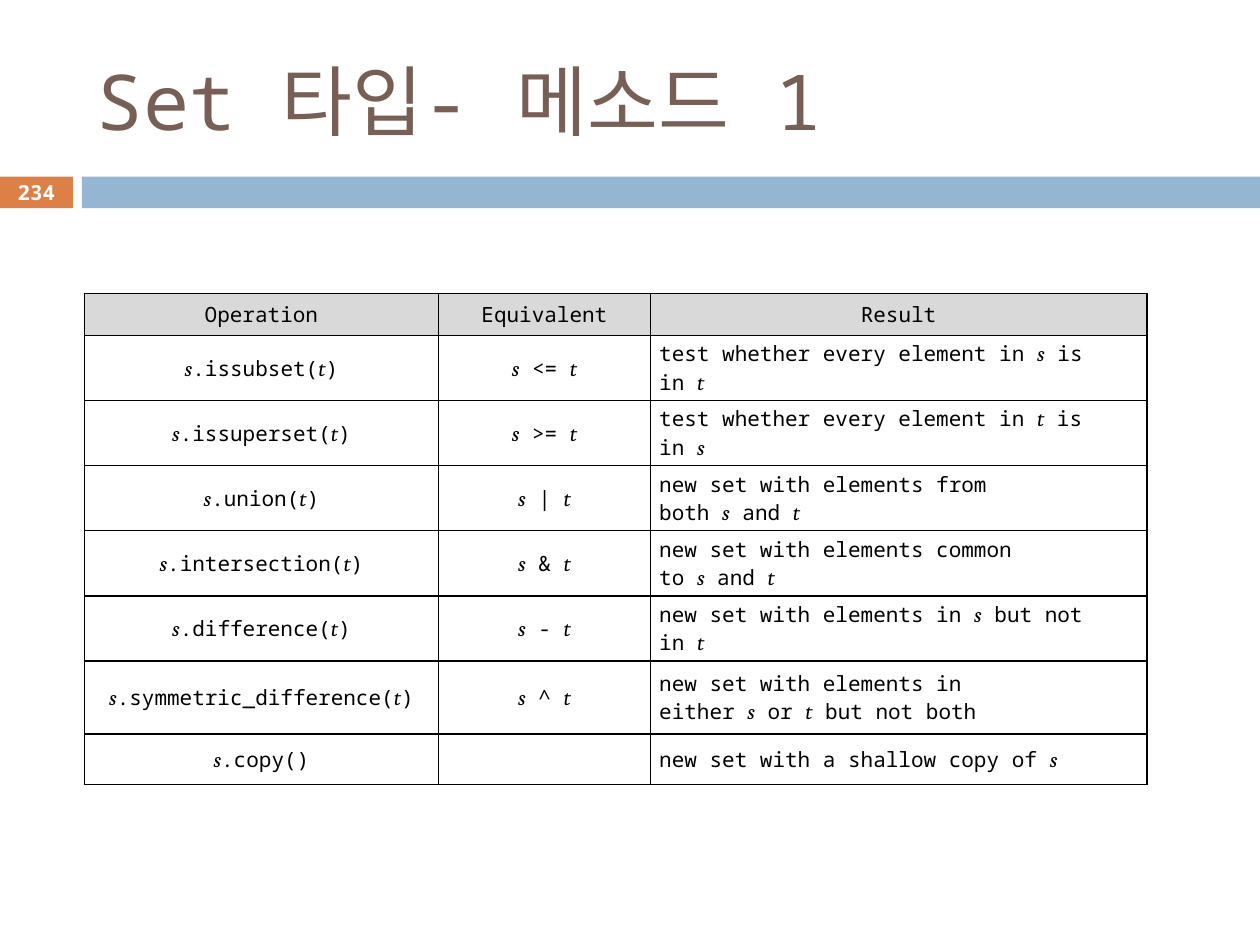
from lxml import etree
from pptx import Presentation
from pptx.dml.color import RGBColor
from pptx.enum import shapes, text
from pptx.oxml.ns import qn
from pptx.util import Cm, Pt

TITLE = "Set 타입- 메소드 1"
PAGE_NUMBER = "234"
HEADINGS = ["Operation", "Equivalent", "Result"]
# Variables stand between asterisks.
METHODS = [
    ("*s*.issubset(*t*)", "*s* <= *t*", "test whether every element in *s* is in *t*"),
    ("*s*.issuperset(*t*)", "*s* >= *t*", "test whether every element in *t* is in *s*"),
    ("*s*.union(*t*)", "*s* | *t*", "new set with elements from both *s* and *t*"),
    ("*s*.intersection(*t*)", "*s* & *t*", "new set with elements common to *s* and *t*"),
    ("*s*.difference(*t*)", "*s* - *t*", "new set with elements in *s* but not in *t*"),
    ("*s*.symmetric_difference(*t*)", "*s* ^ *t*",
     "new set with elements in either *s* or *t* but not both"),
    ("*s*.copy()", "", "new set with a shallow copy of *s*"),
]
COLORS = {"title": "775F55", "number": "DD8047", "band": "94B6D2", "header": "D9D9D9",
          "white": "FFFFFF", "black": "000000"}
MONO, VARIABLE = "Noto Sans Mono", "Cambria"
NO_BREAK_SPACE = chr(160)

SLIDE_WIDTH, SLIDE_HEIGHT = 25.4, 19.05
LEFT = 1.7
BAND_TOP, BAND_HEIGHT, BAND_LEFT, NUMBER_WIDTH = 3.56, 0.64, 1.65, 1.47
TABLE_TOP = 5.92
COLUMN_WIDTHS = [7.14, 4.27, 10.01]
ROW_HEIGHTS = [0.84] + [1.02] * 5 + [1.47, 1.02]
THIN, THICK = 0.6, 1


def color(name):
    return RGBColor.from_string(COLORS[name])


def style(span, size, tint, font=MONO):
    span.font.size = Pt(size)
    span.font.name = font
    span.font.color.rgb = color(tint)


def add_band(page, left, width, tint):
    band = page.shapes.add_shape(shapes.MSO_SHAPE.RECTANGLE, Cm(left), Cm(BAND_TOP),
                                 Cm(width), Cm(BAND_HEIGHT))
    band.shadow.inherit = False
    band.fill.solid()
    band.fill.fore_color.rgb = color(tint)
    band.line.fill.background()
    return band


def add_title(page):
    title = page.shapes.title
    title.left, title.top, title.width, title.height = Cm(LEFT), Cm(0.64), Cm(22.66), Cm(2.74)
    frame = title.text_frame
    frame.text = TITLE
    frame.vertical_anchor = text.MSO_ANCHOR.MIDDLE
    para = frame.paragraphs[0]
    para.alignment = text.PP_ALIGN.LEFT
    span = para.runs[0]
    style(span, 44, "title")
    etree.SubElement(span.font._element, qn("a:ea"), typeface=MONO)


def add_page_number(page):
    frame = add_band(page, 0, NUMBER_WIDTH, "number").text_frame
    frame.margin_left = frame.margin_right = frame.margin_top = frame.margin_bottom = 0
    frame.vertical_anchor = text.MSO_ANCHOR.MIDDLE
    frame.text = PAGE_NUMBER
    para = frame.paragraphs[0]
    para.alignment = text.PP_ALIGN.CENTER
    style(para.runs[0], 11.9, "white")
    para.runs[0].font.bold = True


def write_marked(para, marked):
    """Set variables in italics and tie them to their neighbours with no-break spaces."""
    tied = marked.replace(" *", NO_BREAK_SPACE + "*").replace("* ", "*" + NO_BREAK_SPACE)
    for index, part in enumerate(tied.split("*")):
        is_variable = index % 2 == 1
        if part or not marked:
            span = para.add_run()
            span.text = part
            style(span, 12, "black", VARIABLE if is_variable else MONO)
            span.font.italic = is_variable


def add_borders(cell, widths):
    properties = cell._tc.get_or_add_tcPr()
    for side, width in widths.items():
        line = etree.SubElement(properties, qn(f"a:ln{side}"), w=str(Pt(width)))
        fill = etree.SubElement(line, qn("a:solidFill"))
        etree.SubElement(fill, qn("a:srgbClr"), val=COLORS["black"])


def add_method_table(page):
    rows = [HEADINGS, *METHODS]
    last_row, last_column = len(rows) - 1, len(HEADINGS) - 1
    table = page.shapes.add_table(len(rows), len(HEADINGS), Cm(LEFT), Cm(TABLE_TOP),
                                  Cm(sum(COLUMN_WIDTHS)), Cm(sum(ROW_HEIGHTS))).table
    for column, width in zip(table.columns, COLUMN_WIDTHS):
        column.width = Cm(width)
    for r, (row, height) in enumerate(zip(rows, ROW_HEIGHTS)):
        table.rows[r].height = Cm(height)
        for c, marked in enumerate(row):
            cell = table.cell(r, c)
            cell.margin_left = cell.margin_right = Cm(0.18)
            cell.margin_top = cell.margin_bottom = Cm(0.08)
            cell.vertical_anchor = text.MSO_ANCHOR.MIDDLE
            add_borders(cell, {"L": THICK if c == 0 else THIN,
                               "R": THICK if c == last_column else THIN,
                               "T": THICK,
                               "B": THIN if r == last_row else THICK})
            cell.fill.solid()
            cell.fill.fore_color.rgb = color("header" if r == 0 else "white")
            para = cell.text_frame.paragraphs[0]
            centred = r == 0 or c < last_column
            para.alignment = text.PP_ALIGN.CENTER if centred else text.PP_ALIGN.LEFT
            write_marked(para, marked)


def main():
    deck = Presentation()
    deck.slide_width, deck.slide_height = Cm(SLIDE_WIDTH), Cm(SLIDE_HEIGHT)
    page = deck.slides.add_slide(deck.slide_layouts[5])
    add_title(page)
    add_band(page, BAND_LEFT, SLIDE_WIDTH - BAND_LEFT, "band")
    add_page_number(page)
    add_method_table(page)
    deck.save("out.pptx")


if __name__ == "__main__":
    main()
